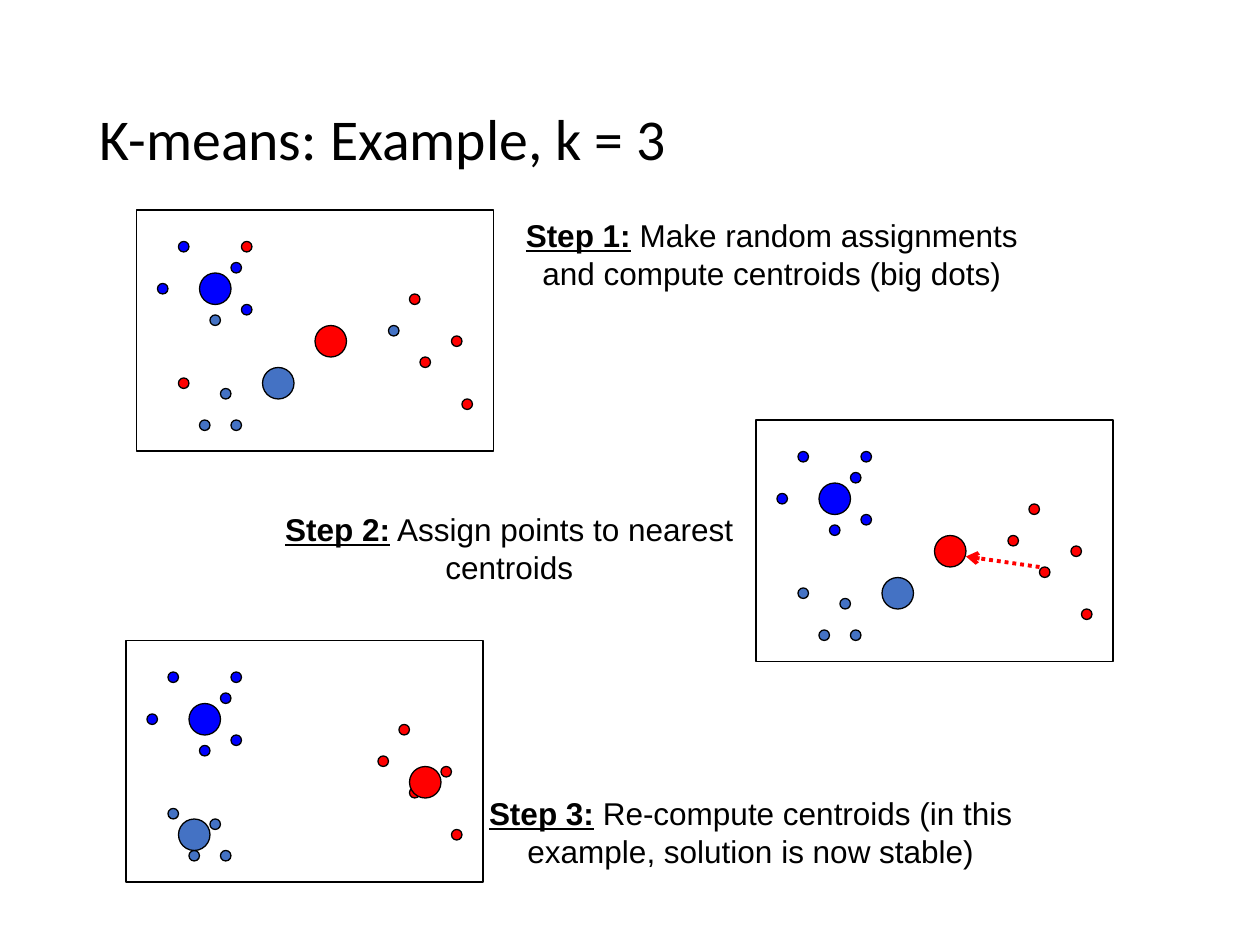
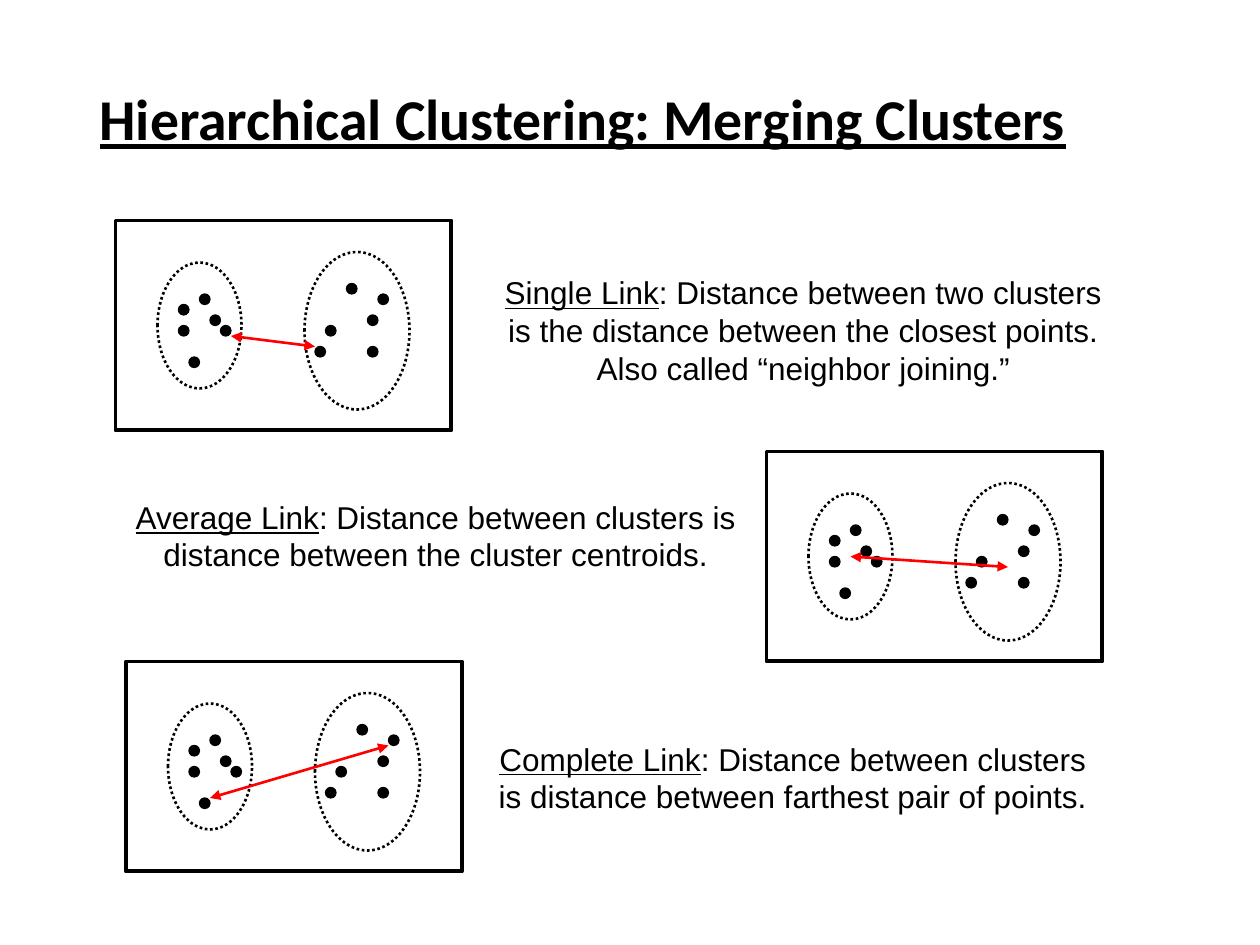
from dataclasses import dataclass
from typing import Optional

from pptx import Presentation
from pptx.dml.color import RGBColor
from pptx.enum.dml import MSO_LINE
from pptx.enum.shapes import MSO_CONNECTOR, MSO_SHAPE
from pptx.enum.text import MSO_ANCHOR, MSO_AUTO_SIZE, PP_ALIGN
from pptx.oxml.ns import qn
from pptx.util import Emu, Inches, Pt

COLORS = {"black": "000000", "blue": "0000FF", "steel": "4472C4", "red": "FF0000"}
WIDTH, HEIGHT = Inches(10), Inches(7.5)
CELL = WIDTH / 120
TITLE_ONLY = 5

Point = tuple[float, float]
Box = tuple[float, float, float, float]

K_MEANS_POINTS: list[Point] = [
    (4, 3), (7, 10), (9, 5), (10, 9), (2, 7), (26, 8), (30, 12), (24, 11),
    (27, 14), (10, 3), (31, 18), (4, 16), (6, 20), (9, 20), (8, 17),
]
LINKAGE_POINTS: list[Point] = [
    (6, 10), (8, 7), (6, 8), (10, 10), (7, 13), (9, 9),
    (19, 12), (22, 6), (25, 7), (24, 9), (24, 12), (20, 10),
]
CLUSTER_OUTLINES: list[Box] = [(4, 4, 8, 12), (18, 3, 10, 15)]
RANDOM_GROUPS = ["blue", "steel", "blue", "blue", "blue", "red", "red", "steel",
                 "red", "red", "red", "red", "steel", "steel", "steel"]
NEAREST_GROUPS = ["blue"] * 5 + ["red"] * 4 + ["blue", "red"] + ["steel"] * 4
FIRST_CENTROIDS: dict[str, Point] = {"steel": (12, 15), "blue": (6, 6), "red": (17, 11)}
STABLE_CENTROIDS: dict[str, Point] = {"steel": (5, 17), "blue": (6, 6), "red": (27, 12)}


@dataclass(frozen=True)
class Caption:
    box: Box
    label: str
    text: str


@dataclass(frozen=True)
class Step:
    origin: Point
    groups: list[str]
    centroids: dict[str, Point]
    caption: Caption
    arrow: Optional[Box] = None


@dataclass(frozen=True)
class Linkage:
    origin: Point
    arrow: Box
    caption: Caption


STEPS = [
    Step((13, 20), RANDOM_GROUPS, FIRST_CENTROIDS,
         Caption((46, 20, 55, 8.4), "Step 1:",
                 " Make random assignments and compute centroids (big dots)")),
    Step((72, 40), NEAREST_GROUPS, FIRST_CENTROIDS,
         Caption((21, 48, 55, 8.4), "Step 2:",
                 " Assign points to nearest centroids"),
         (27, 14, 20, 13)),
    Step((12, 61), NEAREST_GROUPS, STABLE_CENTROIDS,
         Caption((44, 75, 55, 8.4), "Step 3:",
                 " Re-compute centroids (in this example, solution is now stable)")),
]
LINKAGES = [
    Linkage((11, 21), (11, 11, 19, 12),
            Caption((46, 25.44, 61, 12), "Single Link",
                    ": Distance between two clusters is the distance between the "
                    "closest points. Also called “neighbor joining.”")),
    Linkage((73, 43), (8, 10, 23, 11),
            Caption((11, 46.8, 61, 8.4), "Average Link",
                    ": Distance between clusters is distance between the cluster centroids.")),
    Linkage((12, 63), (8, 13, 25, 8),
            Caption((45, 69.84, 61, 8.4), "Complete Link",
                    ": Distance between clusters is distance between farthest pair of points.")),
]


def cells(*values: float) -> list[Emu]:
    return [Emu(round(value * CELL)) for value in values]


def color(name: str) -> RGBColor:
    return RGBColor.from_string(COLORS[name])


def add_span(para, text: str, *, font: str = "Arial", size: float = 18,
             bold: bool = False, underline: bool = False, ink: str = "black") -> None:
    span = para.add_run()
    span.text = text
    span.font.name = font
    span.font.size = Pt(size)
    span.font.bold = bold
    span.font.underline = underline
    span.font.color.rgb = color(ink)


def add_titled_page(deck, text: str, height: float, emphasis: bool = False):
    page = deck.slides.add_slide(deck.slide_layouts[TITLE_ONLY])
    title = page.shapes.title
    title.left, title.top, title.width, title.height = map(
        Inches, (0.69, 0.4, 8.63, height))
    frame = title.text_frame
    frame.auto_size = MSO_AUTO_SIZE.NONE
    frame.vertical_anchor = MSO_ANCHOR.MIDDLE
    para = frame.paragraphs[0]
    para.alignment = PP_ALIGN.LEFT
    para.line_spacing = 0.9
    add_span(para, text, font="Calibri", size=33, bold=emphasis, underline=emphasis)
    return page


def add_caption(page, caption: Caption, bold: bool = False) -> None:
    frame = page.shapes.add_textbox(*cells(*caption.box)).text_frame
    frame.word_wrap = True
    frame.vertical_anchor = MSO_ANCHOR.MIDDLE
    frame.margin_left = frame.margin_right = Inches(0.12)
    para = frame.paragraphs[0]
    para.alignment = PP_ALIGN.CENTER
    add_span(para, caption.label, bold=bold, underline=True)
    add_span(para, caption.text)


def add_outline(page, kind: MSO_SHAPE, origin: Point, box: Box, *, weight: float = 0.75,
                fill: Optional[str] = None, dotted: bool = False) -> None:
    left, top, width, height = box
    shape = page.shapes.add_shape(
        kind, *cells(origin[0] + left, origin[1] + top, width, height))
    shape.shadow.inherit = False
    if fill:
        shape.fill.solid()
        shape.fill.fore_color.rgb = color(fill)
    else:
        shape.fill.background()
    shape.line.color.rgb = color("black")
    shape.line.width = Pt(weight)
    if dotted:
        shape.line.dash_style = MSO_LINE.ROUND_DOT


def add_dot(page, origin: Point, place: Point, fill: str, size: float = 1) -> None:
    add_outline(page, MSO_SHAPE.OVAL, origin, (*place, size, size), fill=fill)


def add_arrow(page, origin: Point, ends: Box, *, weight: float, heads: dict[str, str],
              dotted: bool = False) -> None:
    x, y = origin
    start_x, start_y, end_x, end_y = ends
    arrow = page.shapes.add_connector(
        MSO_CONNECTOR.STRAIGHT, *cells(x + start_x, y + start_y, x + end_x, y + end_y))
    arrow.line.color.rgb = color("red")
    arrow.line.width = Pt(weight)
    if dotted:
        arrow.line.dash_style = MSO_LINE.ROUND_DOT
    properties = arrow.line._get_or_add_ln()
    for end, style in heads.items():
        properties.makeelement(qn(f"a:{end}"))
        head = properties.makeelement(qn(f"a:{end}"), {"type": style})
        properties.append(head)
    effects = properties.makeelement(qn("a:effectLst"))
    properties.addnext(effects)


def draw_step(page, step: Step) -> None:
    add_outline(page, MSO_SHAPE.RECTANGLE, step.origin, (0, 0, 34, 23), weight=1)
    for place, group in zip(K_MEANS_POINTS, step.groups):
        add_dot(page, step.origin, place, group)
    for group, place in step.centroids.items():
        add_dot(page, step.origin, place, group, size=3)
    if step.arrow:
        add_arrow(page, step.origin, step.arrow, weight=2.25,
                  heads={"tailEnd": "arrow"}, dotted=True)
    add_caption(page, step.caption, bold=True)


def draw_linkage(page, linkage: Linkage) -> None:
    for place in LINKAGE_POINTS:
        add_dot(page, linkage.origin, place, "black")
    for outline in CLUSTER_OUTLINES:
        add_outline(page, MSO_SHAPE.OVAL, linkage.origin, outline, weight=1.5, dotted=True)
    add_outline(page, MSO_SHAPE.RECTANGLE, linkage.origin, (0, 0, 32, 20), weight=2.25)
    add_arrow(page, linkage.origin, linkage.arrow, weight=1.5,
              heads={"headEnd": "triangle", "tailEnd": "triangle"})
    add_caption(page, linkage.caption)


def main() -> None:
    deck = Presentation()
    deck.slide_width, deck.slide_height = WIDTH, HEIGHT

    page = add_titled_page(deck, "K-means: Example, k = 3", 1.45)
    for step in STEPS:
        draw_step(page, step)

    page = add_titled_page(deck, "Hierarchical Clustering: Merging Clusters", 1.14,
                           emphasis=True)
    for linkage in LINKAGES:
        draw_linkage(page, linkage)

    deck.save("out.pptx")


if __name__ == "__main__":
    main()
